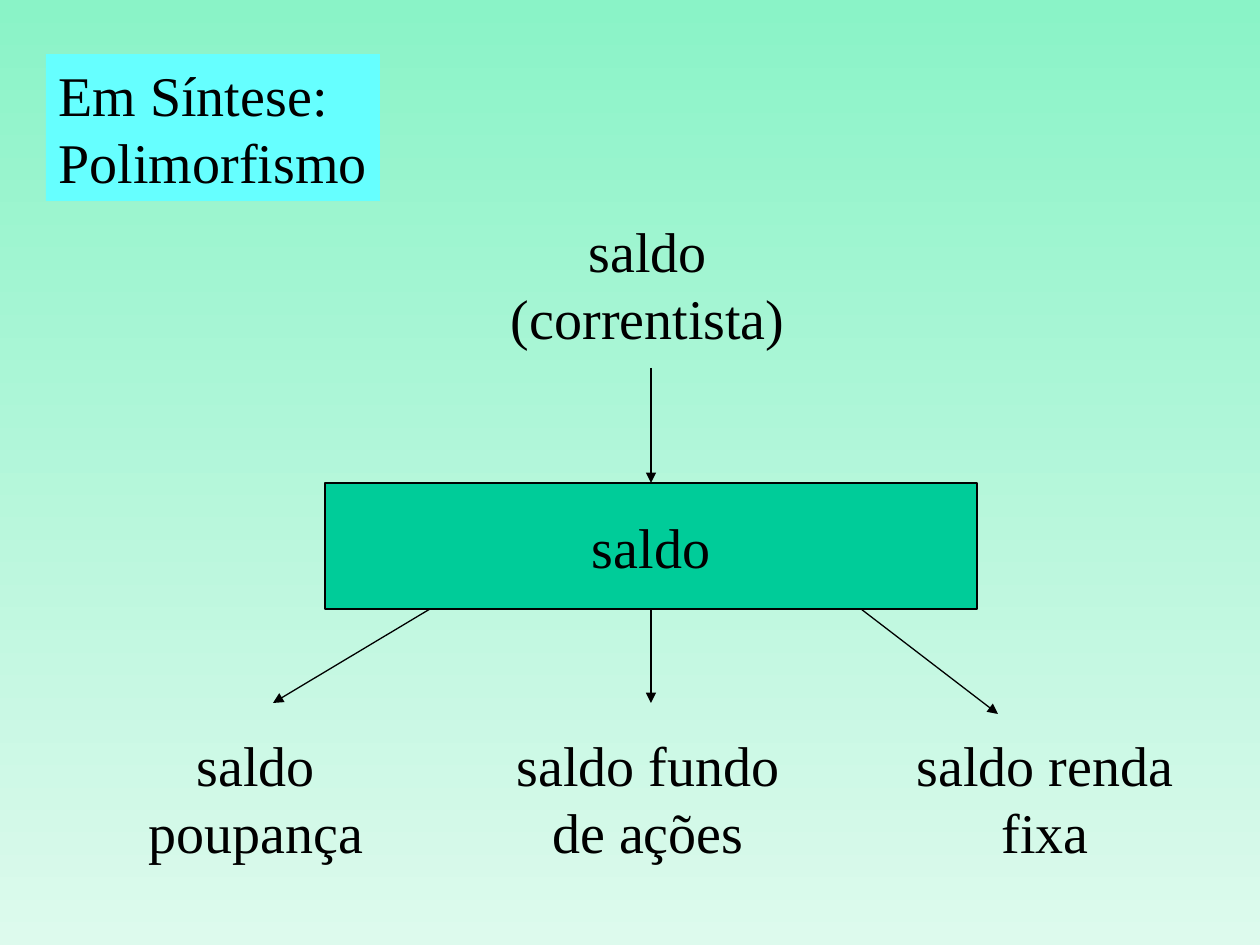
from dataclasses import dataclass

from lxml.etree import SubElement
from pptx import Presentation
from pptx.dml.color import RGBColor
from pptx.enum.shapes import MSO_CONNECTOR, MSO_SHAPE
from pptx.enum.text import MSO_ANCHOR, MSO_AUTO_SIZE, PP_ALIGN
from pptx.oxml.ns import qn
from pptx.util import Emu, Pt


@dataclass(frozen=True)
class Theme:
    font: str = "Times New Roman"
    size: Pt = Pt(32)
    line_width: Pt = Pt(0.75)
    ink: RGBColor = RGBColor(0x00, 0x00, 0x00)
    title_fill: RGBColor = RGBColor(0x66, 0xFF, 0xFF)
    message_fill: RGBColor = RGBColor(0x00, 0xCC, 0x99)
    sky: RGBColor = RGBColor(0x8A, 0xF3, 0xC7)
    ground: RGBColor = RGBColor(0xDD, 0xFA, 0xED)


THEME = Theme()
PX_PER_INCH = 126


def px(length):
    return Emu(round(length * 914400 / PX_PER_INCH))


def write(shape, lines, align, anchor=MSO_ANCHOR.TOP, wrap=False):
    frame = shape.text_frame
    frame.text = "\n".join(lines)
    frame.word_wrap = wrap
    frame.auto_size = MSO_AUTO_SIZE.NONE
    frame.vertical_anchor = anchor
    for paragraph in frame.paragraphs:
        paragraph.alignment = align
        paragraph.font.name = THEME.font
        paragraph.font.size = THEME.size
        paragraph.font.color.rgb = THEME.ink


def paint_background(slide):
    fill = slide.background.fill
    fill.gradient()
    fill.gradient_angle = 270
    for stop, color in zip(fill.gradient_stops, (THEME.sky, THEME.ground)):
        stop.color.rgb = color


def place_title(slide, left, top, width, height, lines):
    title = slide.shapes.title
    title.left, title.top, title.width, title.height = map(px, (left, top, width, height))
    title.fill.solid()
    title.fill.fore_color.rgb = THEME.title_fill
    title.text_frame.margin_right = 0
    write(title, lines, PP_ALIGN.LEFT, wrap=True)


def add_label(slide, center, top, width, lines):
    label = slide.shapes.add_textbox(px(center - width / 2), px(top), px(width), px(147))
    write(label, lines, PP_ALIGN.CENTER)


def add_message(slide, left, top, width, height, name):
    message = slide.shapes.add_shape(
        MSO_SHAPE.RECTANGLE, px(left), px(top), px(width), px(height))
    message.shadow.inherit = False
    message.fill.solid()
    message.fill.fore_color.rgb = THEME.message_fill
    message.line.color.rgb = THEME.ink
    message.line.width = THEME.line_width
    write(message, [name], PP_ALIGN.CENTER, MSO_ANCHOR.MIDDLE)


def add_arrow(slide, start, end):
    arrow = slide.shapes.add_connector(
        MSO_CONNECTOR.STRAIGHT, *map(px, (*start, *end)))
    arrow.line.color.rgb = THEME.ink
    arrow.line.width = THEME.line_width
    SubElement(arrow.line._get_or_add_ln(), qn("a:tailEnd"), type="triangle")
    SubElement(arrow._element.spPr, qn("a:effectLst"))


def add_dispatch(slide, left, top, width, height):
    """One call from the account holder, answered by three kinds of balance."""
    middle, bottom = left + width / 2, top + height

    # Message and its caller
    add_message(slide, left, top, width, height, "saldo")
    add_label(slide, middle - 3, top - 273, 300, ["saldo", "(correntista)"])
    add_arrow(slide, (middle, top - 115), (middle, top))

    # Answers: label offset, label width, lines, arrow start and end offsets, arrow drop
    answers = [
        (-395, 240, ["saldo", "poupança"], -221, -378, 94),
        (-3, 288, ["saldo fundo", "de ações"], 0, 0, 94),
        (394, 282, ["saldo renda", "fixa"], 210, 347, 105),
    ]
    for offset, label_width, lines, start, end, drop in answers:
        add_label(slide, middle + offset, bottom + 115, label_width, lines)
        add_arrow(slide, (middle + start, bottom), (middle + end, bottom + drop))


def main():
    deck = Presentation()
    deck.slide_width, deck.slide_height = px(1260), px(945)
    slide = deck.slides.add_slide(deck.slide_layouts.get_by_name("Title Only"))
    paint_background(slide)
    place_title(slide, 46, 54, 334, 147, ["Em Síntese:", "Polimorfismo"])
    add_dispatch(slide, 325, 483, 652, 126)
    deck.save("out.pptx")


if __name__ == "__main__":
    main()
